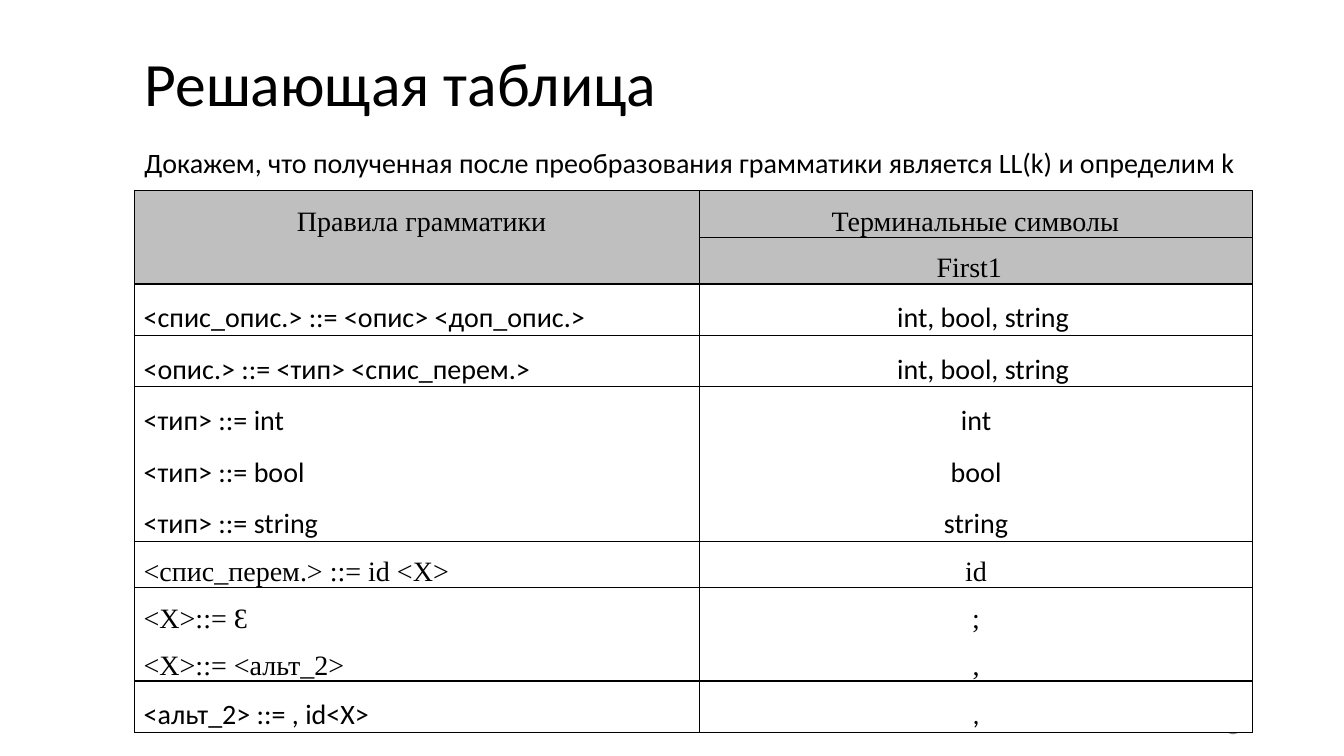
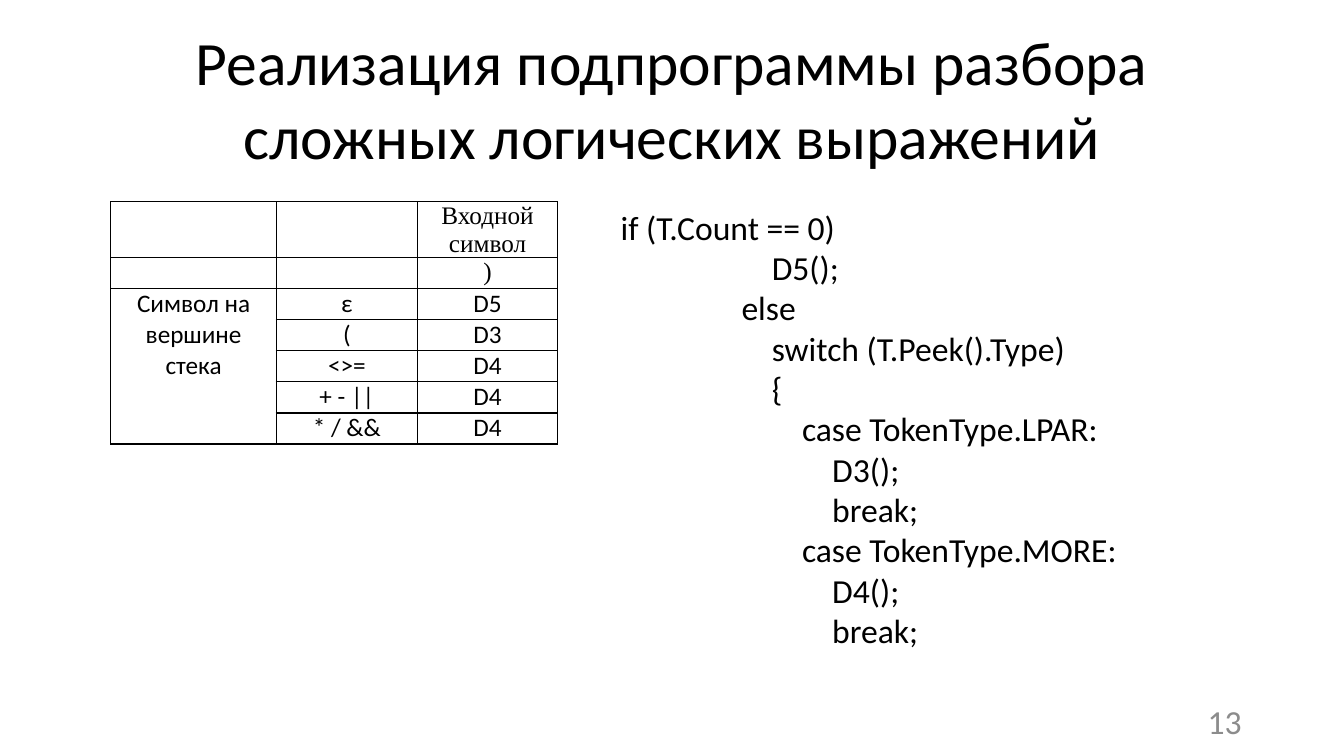
"""Build two slides on a parsing table and a stack-based expression parser."""
from dataclasses import dataclass
from typing import Optional

from lxml.etree import SubElement
from pptx import Presentation
from pptx.dml.color import RGBColor
from pptx.enum.text import MSO_ANCHOR as Anchor, MSO_AUTO_SIZE as AutoSize, PP_ALIGN as Align
from pptx.oxml.ns import qn
from pptx.util import Emu, Inches, Pt

COLORS = {"text": "000000", "number": "8C8C8C", "header": "BFBFBF", "cell": "FFFFFF", "border": "000000"}
SANS, SERIF = "Calibri", "Times New Roman"
SLIDE_WIDTH, SLIDE_HEIGHT = Inches(13.33), Inches(7.5)
GRID_COLUMNS, GRID_ROWS = 16, 9
CODE_INDENT = 0.36


def across(columns: float) -> Emu:
    """Convert grid columns to a length."""
    return Emu(round(SLIDE_WIDTH * columns / GRID_COLUMNS))


def down(rows: float) -> Emu:
    """Convert grid rows to a length."""
    return Emu(round(SLIDE_HEIGHT * rows / GRID_ROWS))


@dataclass(frozen=True)
class Box:
    """Place on the grid, in columns and rows."""
    left: float
    top: float
    width: float
    height: float

    def lengths(self) -> tuple:
        """Return left, top, width and height as lengths."""
        return across(self.left), down(self.top), across(self.width), down(self.height)


@dataclass(frozen=True)
class Style:
    """Look of a paragraph."""
    size: int
    font: str = SANS
    color: str = "text"
    align: Align = Align.LEFT
    spacing: float = 1.0
    before: int = 0
    indent: float = 0


@dataclass(frozen=True)
class Cell:
    """Text lines of a table cell and their look."""
    lines: tuple
    style: Style
    fill: str = "cell"
    row_span: int = 1


@dataclass(frozen=True)
class Grid:
    """Table position, track sizes, side margin and cells."""
    left: float
    top: float
    columns: tuple
    rows: tuple
    margin: float
    cells: tuple


def format_paragraph(paragraph, style: Style) -> None:
    """Apply a style to one paragraph."""
    paragraph.alignment = style.align
    paragraph.line_spacing = style.spacing
    paragraph.space_before = Pt(style.before)
    properties = paragraph._p.get_or_add_pPr()
    properties.set("marL", str(across(style.indent)))
    properties.set("indent", "0")
    SubElement(properties, qn("a:buNone"))
    font = paragraph.font
    font.size, font.name = Pt(style.size), style.font
    font.color.rgb = RGBColor.from_string(COLORS[style.color])


def write_lines(text_frame, lines: tuple, style: Style) -> None:
    """Write one paragraph for each line."""
    for index, line in enumerate(lines):
        paragraph = text_frame.add_paragraph() if index else text_frame.paragraphs[0]
        paragraph.text = line
        format_paragraph(paragraph, style)


def fill_shape(shape, box: Box, lines: tuple, style: Style, anchor: Anchor = Anchor.TOP) -> None:
    """Place a text shape and write its lines."""
    shape.left, shape.top, shape.width, shape.height = box.lengths()
    frame = shape.text_frame
    frame.word_wrap = True
    frame.auto_size = AutoSize.NONE
    frame.vertical_anchor = anchor
    write_lines(frame, lines, style)


def add_page_number(slide, number: int) -> None:
    """Add the page number at the lower right."""
    box = Box(11.3, 8.34, 3.6, 0.48)
    fill_shape(slide.shapes.add_textbox(*box.lengths()), box, (str(number),),
               Style(24, color="number", align=Align.RIGHT), Anchor.MIDDLE)


def paint_cell(cell, fill: str, margin: float) -> None:
    """Set the margins, borders and fill of a table cell."""
    cell.margin_left = cell.margin_right = across(margin)
    cell.margin_top = cell.margin_bottom = 0
    properties = cell._tc.get_or_add_tcPr()
    for side in ("lnL", "lnR", "lnT", "lnB"):
        line = SubElement(properties, qn(f"a:{side}"), w=str(Pt(1)))
        SubElement(SubElement(line, qn("a:solidFill")), qn("a:srgbClr"), val=COLORS["border"])
    cell.fill.solid()
    cell.fill.fore_color.rgb = RGBColor.from_string(COLORS[fill])


def add_grid(slide, grid: Grid) -> None:
    """Draw a bordered table."""
    box = Box(grid.left, grid.top, sum(grid.columns), sum(grid.rows))
    table = slide.shapes.add_table(len(grid.rows), len(grid.columns), *box.lengths()).table
    table.first_row = table.horz_banding = False
    for column, width in zip(table.columns, grid.columns):
        column.width = across(width)
    for row, height in zip(table.rows, grid.rows):
        row.height = down(height)
    for row_index, row_cells in enumerate(grid.cells):
        for column_index, content in enumerate(row_cells):
            cell = table.cell(row_index, column_index)
            paint_cell(cell, content.fill if content else "cell", grid.margin)
            if content:
                write_lines(cell.text_frame, content.lines, content.style)
                if content.row_span > 1:
                    last = table.cell(row_index + content.row_span - 1, column_index)
                    cell.merge(last)


def rule_cell(*lines: str, font: str = SANS) -> Cell:
    """Describe a cell with grammar rules."""
    return Cell(lines, Style(20, font, spacing=1.5, indent=0.11))


def first_cell(*lines: str, font: str = SANS, indent: float = 0, fill: str = "cell") -> Cell:
    """Describe a cell with terminal symbols, centred unless indented."""
    align = Align.LEFT if indent else Align.CENTER
    return Cell(lines, Style(20, font, align=align, spacing=1.5, indent=indent), fill)


def stack_cell(text: str, font: str = SANS, row_span: int = 1) -> Cell:
    """Describe a centred cell of the stack table."""
    return Cell((text,), Style(18, font, align=Align.CENTER), row_span=row_span)


def grammar_rows() -> tuple:
    """Return the cells of the decision table."""
    heading = Style(20, SERIF, align=Align.CENTER, spacing=1.5, indent=0.11)
    types = ("int", "bool", "string")
    any_type = first_cell(", ".join(types), indent=2.35)
    return (
        (Cell(("Правила грамматики",), heading, "header", 2),
         first_cell("Терминальные символы", font=SERIF, indent=1.57, fill="header")),
        (None, first_cell("First1", font=SERIF, indent=2.82, fill="header")),
        (rule_cell("<спис_опис.> ::= <опис> <доп_опис.>"), any_type),
        (rule_cell("<опис.> ::= <тип> <спис_перем.>"), any_type),
        (rule_cell(*(f"<тип> ::= {name}" for name in types)), first_cell(*types)),
        (rule_cell("<спис_перем.> ::= id <X>", font=SERIF), first_cell("id", font=SERIF)),
        (rule_cell("<X>::= Ɛ", "<X>::= <альт_2>", font=SERIF), first_cell(";", ",", font=SERIF)),
        (rule_cell("<альт_2> ::= , id<X>"), first_cell(",")),
    )


def stack_rows() -> tuple:
    """Return the cells of the stack table."""
    actions = (("ε", "D5"), ("(", "D3"), ("<>=", "D4"), ("+ - ||", "D4"), ("* / &&", "D4"))
    label: Optional[Cell] = stack_cell("Символ на вершине стека", row_span=len(actions))
    return (
        (None, None, stack_cell("Входной символ", SERIF)),
        (None, None, stack_cell(")", SERIF)),
        *((None if index else label, stack_cell(symbol), stack_cell(action))
          for index, (symbol, action) in enumerate(actions)),
    )


def build_decision_slide(presentation) -> None:
    """Build the slide with the decision table."""
    slide = presentation.slides.add_slide(presentation.slide_layouts[1])
    fill_shape(slide.shapes.title, Box(1.6, 0.19, 11.7, 1.68), ("Решающая таблица",),
               Style(44, spacing=0.9), Anchor.MIDDLE)
    fill_shape(slide.placeholders[1], Box(1.6, 1.39, 13.68, 0.9),
               ("Докажем, что полученная после преобразования грамматики является LL(k) и определим k",),
               Style(20, spacing=1.7, before=10))
    add_page_number(slide, 8)
    add_grid(slide, Grid(1.6, 2.27, (6.73, 6.58), (0.48,) * 4 + (1.57, 0.48, 1.02, 0.49), 0, grammar_rows()))


def build_parser_slide(presentation) -> None:
    """Build the slide with the stack table and its code."""
    slide = presentation.slides.add_slide(presentation.slide_layouts[5])
    add_page_number(slide, 13)
    fill_shape(slide.shapes.title, Box(0.77, 0.22, 14.47, 1.68),
               ("Реализация подпрограммы разбора сложных логических выражений",),
               Style(44, align=Align.CENTER))
    add_grid(slide, Grid(1.32, 2.4, (1.97, 1.68, 1.67), (0.67, 0.36) + (0.37,) * 5, 0.08, stack_rows()))
    code = (
        (0, "if (T.Count == 0)"), (5, "D5();"), (4, "else"),
        (5, "switch (T.Peek().Type)"), (5, "{"),
        (6, "case TokenType.LPAR:"), (7, "D3();"), (7, "break;"),
        (6, "case TokenType.MORE:"), (7, "D4();"), (7, "break;"),
    )
    box = Box(7.27, 2.4, 8.06, 5.45)
    frame = slide.shapes.add_textbox(*box.lengths()).text_frame
    frame.word_wrap = True
    for index, (level, line) in enumerate(code):
        paragraph = frame.add_paragraph() if index else frame.paragraphs[0]
        paragraph.text = line
        format_paragraph(paragraph, Style(24, indent=level * CODE_INDENT))


def main() -> None:
    """Create the presentation and save it."""
    presentation = Presentation()
    presentation.slide_width, presentation.slide_height = SLIDE_WIDTH, SLIDE_HEIGHT
    build_decision_slide(presentation)
    build_parser_slide(presentation)
    presentation.save("out.pptx")


main()
